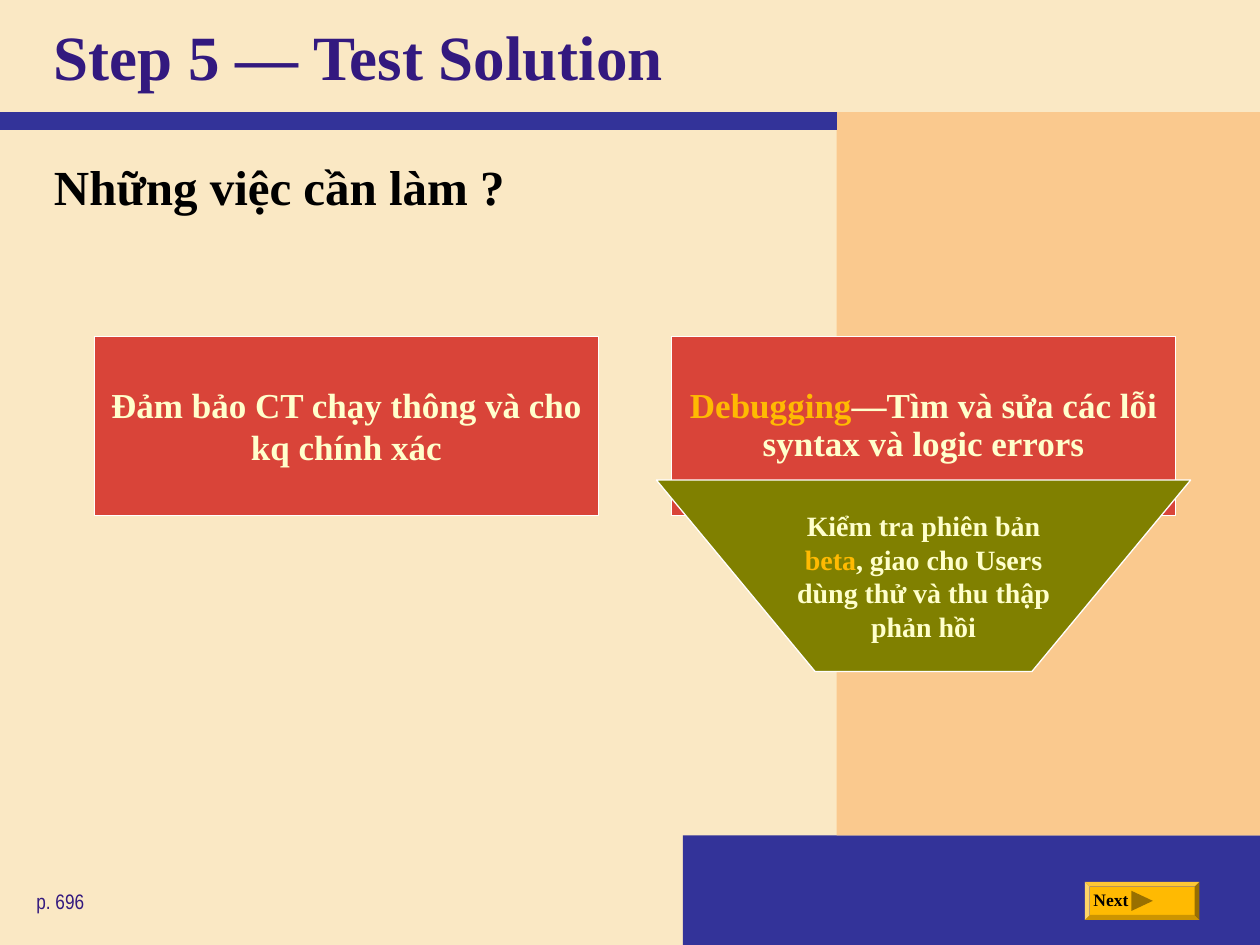
import pptx
import pptx.util
import pptx.dml.color
import pptx.enum.shapes
import pptx.enum.text
import pptx.oxml

Inches, Pt = pptx.util.Inches, pptx.util.Pt
SHAPE = pptx.enum.shapes.MSO_SHAPE
ANCHOR = pptx.enum.text.MSO_ANCHOR
ALIGN = pptx.enum.text.PP_ALIGN

CREAM, PEACH, BLUE, PURPLE = "FAE8C4", "FAC98E", "333399", "33197F"
RED, OLIVE, GOLD, BROWN = "D94439", "808000", "FFBA02", "997000"
PALE, WHITE, BLACK = "FFFFCC", "FFFFFF", "000000"
SERIF, NARROW = "Times New Roman", "Arial Narrow"

# Content: left, top, width, height, fill
PANELS = [
    (5.42, 6.63, 4.58, 0.87, BLUE),
    (6.64, 0.89, 3.36, 5.74, PEACH),
]
# left, top, width, height, text, size, font, colour, bold, anchor
LABELS = [
    (0.33, 0, 9.39, 0.88, "Step 5 — Test Solution", 36, SERIF, PURPLE, True, ANCHOR.MIDDLE),
    (0.33, 1.19, 9.39, 0.64, "Những việc cần làm ?", 28, SERIF, BLACK, True, ANCHOR.TOP),
    (0.19, 7, 1.69, 0.3, "p. 696", 12, NARROW, PURPLE, False, ANCHOR.TOP),
    (8.58, 7.01, 0.51, 0.27, "Next", 10, SERIF, BLACK, True, ANCHOR.TOP),
]
# left, line spacing, spans of text and colour
TASKS = [
    (0.75, 1.0, [("Đảm bảo CT chạy thông và cho kq chính xác", PALE)]),
    (5.33, 0.9, [("Debugging", GOLD), ("—Tìm và sửa các lỗi syntax và logic errors", PALE)]),
]
BETA_TEXT = [
    ("Kiểm tra phiên bản ", PALE),
    ("beta", GOLD),
    (", giao cho Users dùng thử và thu thập phản hồi", PALE),
]
BETA_OUTLINE = [(9.45, 3.81), (5.21, 3.81), (6.47, 5.33), (8.19, 5.33)]
ARROW_OUTLINE = [(8.98, 7.07), (9.15, 7.15), (8.98, 7.23)]


def colour(value):
    return pptx.dml.color.RGBColor.from_string(value)


def paint(shape, fill, line=None):
    shape.shadow.inherit = False
    shape.fill.solid()
    shape.fill.fore_color.rgb = colour(fill)
    if line:
        shape.line.color.rgb = colour(line)
        shape.line.width = Pt(0.75)
    else:
        shape.line.fill.background()
    return shape


def add_block(page, kind, left, top, width, height, fill, line=None):
    shape = page.shapes.add_shape(
        kind, Inches(left), Inches(top), Inches(width), Inches(height))
    return paint(shape, fill, line)


def add_outline(page, points, fill, line=None):
    corners = [(Inches(x), Inches(y)) for x, y in points]
    builder = page.shapes.build_freeform(*corners[0])
    builder.add_line_segments(corners[1:], close=True)
    return paint(builder.convert_to_shape(), fill, line)


def write(shape, spans, size, font=SERIF, bold=True, align=ALIGN.CENTER,
          anchor=ANCHOR.MIDDLE, side=0, edge=0, spacing=1.0):
    frame = shape.text_frame
    frame.word_wrap = True
    frame.vertical_anchor = anchor
    frame.margin_left = frame.margin_right = Inches(side)
    frame.margin_top = frame.margin_bottom = Inches(edge)
    para = frame.paragraphs[0]
    para.alignment = align
    para.line_spacing = spacing
    for text, tint in spans:
        span = para.add_run()
        span.text = text
        span.font.size = Pt(size)
        span.font.name = font
        span.font.bold = bold
        span.font.color.rgb = colour(tint)


def main():
    deck = pptx.Presentation()
    deck.slide_width, deck.slide_height = Inches(10), Inches(7.5)
    page = deck.slides.add_slide(deck.slide_layouts[6])
    page.background.fill.solid()
    page.background.fill.fore_color.rgb = colour(CREAM)

    # Backdrop panels and the rule under the title
    for left, top, width, height, fill in PANELS:
        add_block(page, SHAPE.RECTANGLE, left, top, width, height, fill)
    rule = page.shapes.add_connector(
        pptx.enum.shapes.MSO_CONNECTOR.STRAIGHT,
        Inches(0), Inches(0.96), Inches(6.64), Inches(0.96))
    rule.line.color.rgb = colour(BLUE)
    rule.line.width = Pt(10)
    rule._element.spPr.append(pptx.oxml.parse_xml(
        '<a:effectLst xmlns:a="http://schemas.openxmlformats.org/drawingml/2006/main"/>'))

    # Next button
    add_block(page, SHAPE.BEVEL, 8.61, 7, 0.91, 0.3, GOLD)
    add_outline(page, ARROW_OUTLINE, BROWN)

    # Title, question, page reference and button label
    for left, top, width, height, text, size, font, tint, bold, anchor in LABELS:
        box = page.shapes.add_textbox(
            Inches(left), Inches(top), Inches(width), Inches(height))
        write(box, [(text, tint)], size, font, bold, ALIGN.LEFT, anchor, 0.1, 0.05)

    # Task boxes, then the beta test funnel in front
    for left, spacing, spans in TASKS:
        box = add_block(page, SHAPE.RECTANGLE, left, 2.67, 4, 1.42, RED, WHITE)
        write(box, spans, 20, spacing=spacing)
    funnel = add_outline(page, BETA_OUTLINE, OLIVE, WHITE)
    write(funnel, BETA_TEXT, 16, side=1.05)

    deck.save("out.pptx")


if __name__ == "__main__":
    main()
